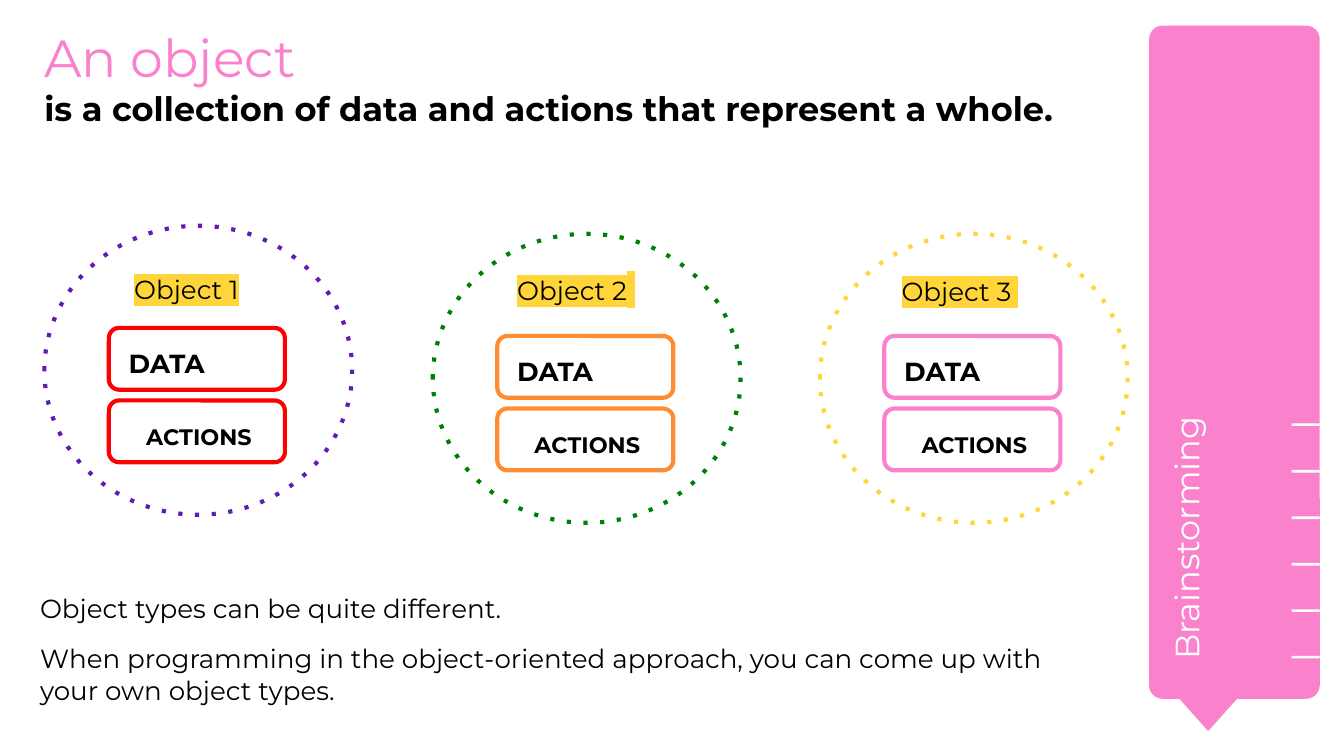
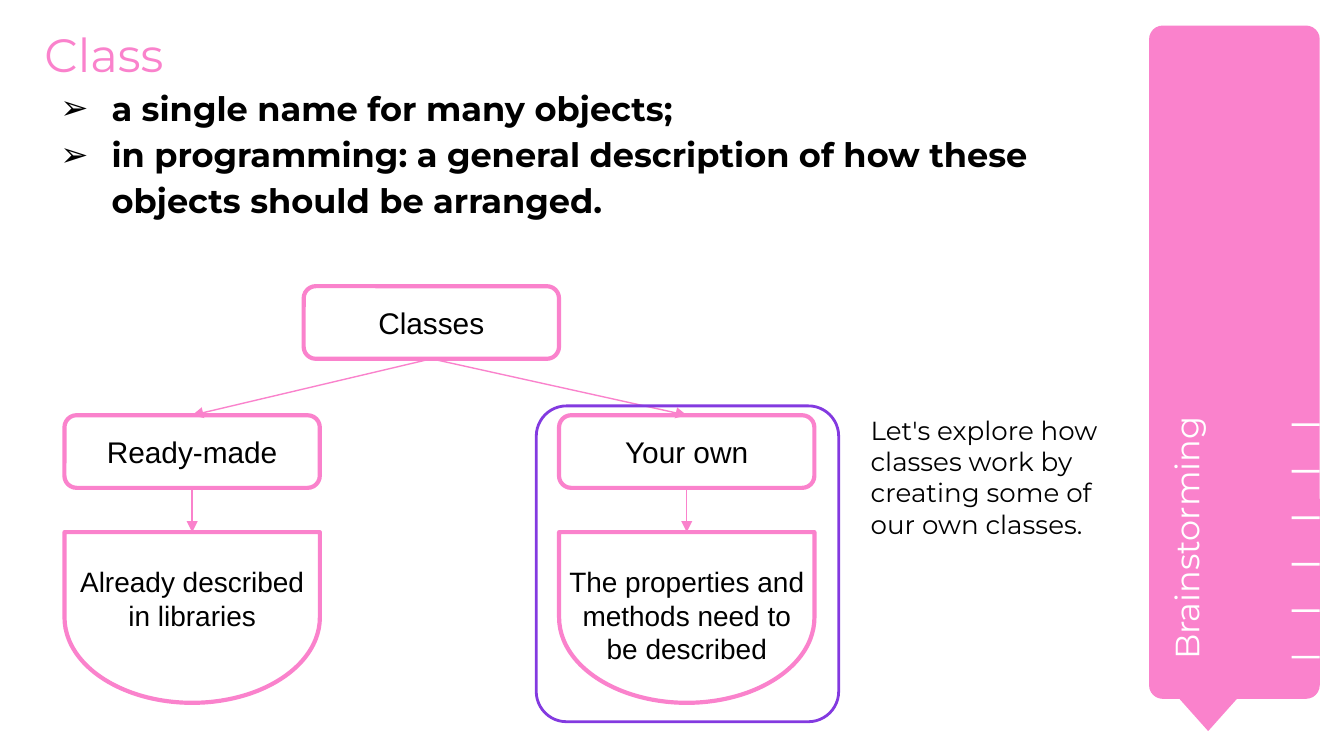
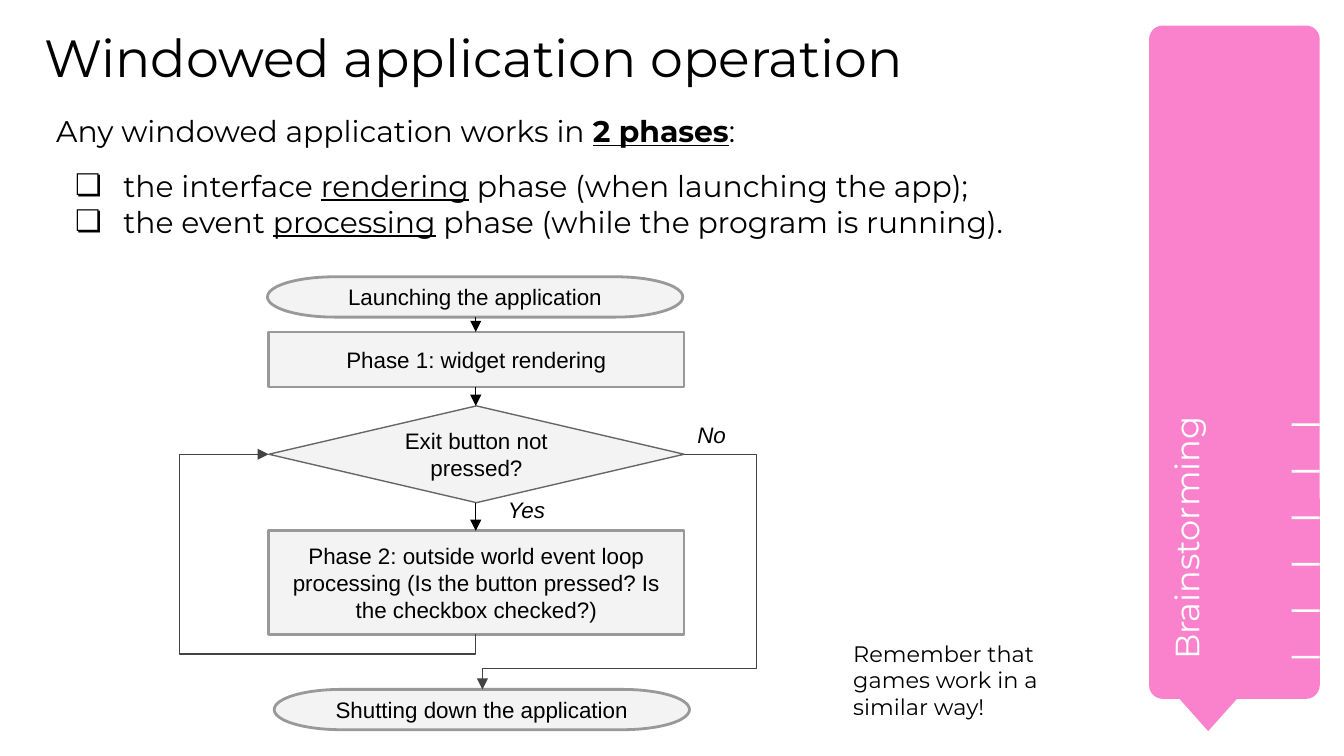
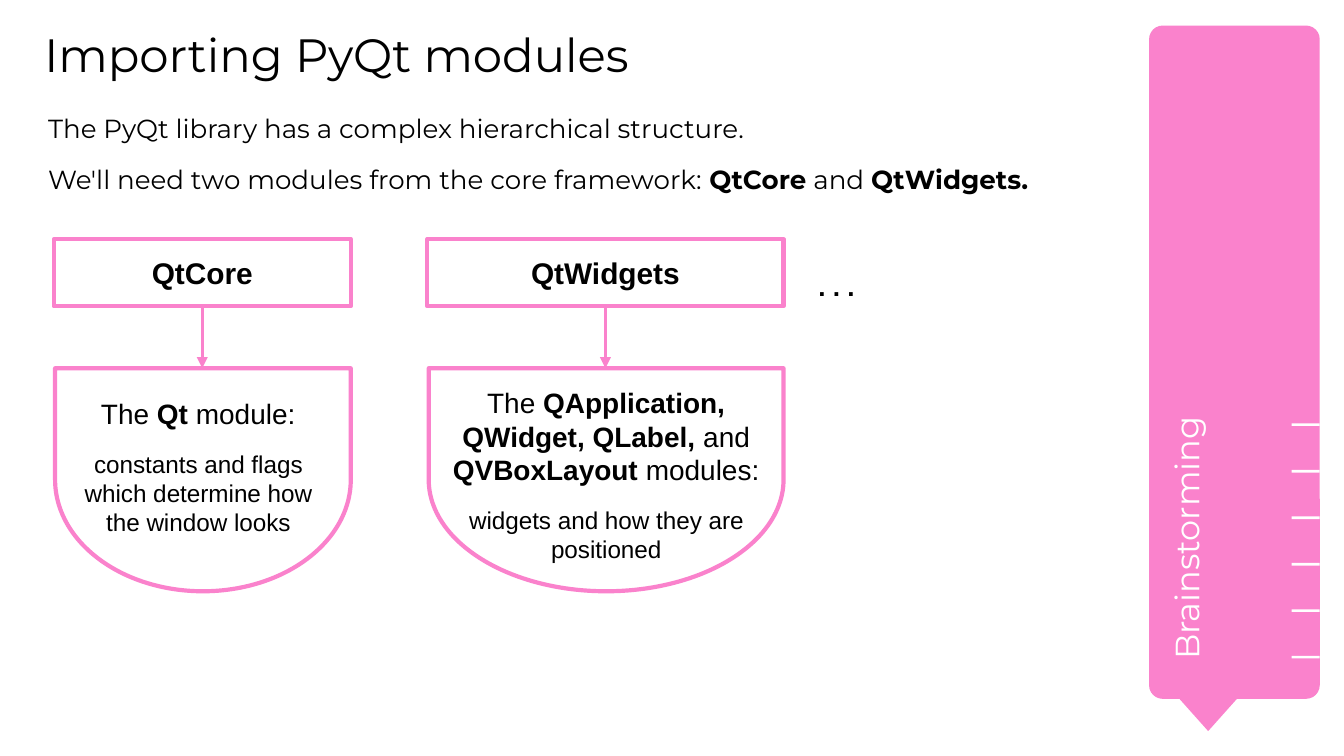
import pptx
import pptx.util
import pptx.dml.color
import pptx.enum.shapes
import pptx.enum.text
import pptx.oxml.ns
from lxml import etree

Inches = pptx.util.Inches
Pt = pptx.util.Pt
qn = pptx.oxml.ns.qn
SHAPE = pptx.enum.shapes.MSO_SHAPE
CONNECTOR = pptx.enum.shapes.MSO_CONNECTOR
ANCHOR = pptx.enum.text.MSO_ANCHOR
ALIGN = pptx.enum.text.PP_ALIGN

COLORS = {
    "pink": "FA82CC", "black": "000000", "white": "FFFFFF", "yellow": "FFD53A",
    "red": "FF0000", "orange": "FF8C31", "green": "008000", "indigo": "5E1CB6",
    "violet": "833AE0", "pale": "F3F3F3", "gray": "999999", "slate": "666666",
    "charcoal": "434343",
}
HEADING, PLAIN = "Montserrat", "Arial"
TITLE_BOX = (0.33, 0.19, 7.91, 0.56)


def rgb(name):
    """Return the named colour."""
    return pptx.dml.color.RGBColor.from_string(COLORS[name])


def inches(*values):
    """Convert numbers to inch lengths."""
    return [Inches(v) for v in values]


def xml(parent, tag, **attrs):
    """Append a drawing element to a parent."""
    return etree.SubElement(parent, qn(tag), attrs)


def prepare(tf, inset=0.1, anchor=ANCHOR.TOP):
    """Set wrapping, insets and anchor of a text frame."""
    tf.word_wrap = True
    tf.auto_size = pptx.enum.text.MSO_AUTO_SIZE.NONE
    tf.vertical_anchor = anchor
    tf.margin_left = tf.margin_right = tf.margin_top = tf.margin_bottom = Inches(inset)


def style_run(r, size, font, color, flags="", highlight=None):
    """Format a run; flags are letters out of b, i and u."""
    f = r.font
    f.size, f.name = Pt(size), font
    f.bold, f.italic, f.underline = "b" in flags, "i" in flags, "u" in flags
    f.color.rgb = rgb(color)
    if highlight:
        mark = etree.Element(qn("a:highlight"))
        xml(mark, "a:srgbClr", val=COLORS[highlight])
        f._element.find(qn("a:solidFill")).addnext(mark)


def add_para(tf, runs, size, font=HEADING, color="black", align=ALIGN.LEFT,
             before=0, after=0, spacing=None, bullet=None, hang=0.36, highlight=None):
    """Write a paragraph from (text, flags[, size]) runs or one string."""
    p = tf.paragraphs[0] if not tf.text else tf.add_paragraph()
    p.alignment = align
    p.space_before, p.space_after = Pt(before), Pt(after)
    if spacing:
        p.line_spacing = spacing
    if bullet:
        pPr = p._p.get_or_add_pPr()
        pPr.set("marL", str(Inches(0.5)))
        pPr.set("indent", str(-Inches(hang)))
        xml(xml(pPr, "a:buClr"), "a:srgbClr", val=COLORS["black"])
        xml(pPr, "a:buSzPts", val=str(size * 100))
        xml(pPr, "a:buFont", typeface=font)
        xml(pPr, "a:buChar", char=bullet)
    for text, flags, *own_size in [(runs, "")] if isinstance(runs, str) else runs:
        r = p.add_run()
        r.text = text
        style_run(r, own_size[0] if own_size else size, font, color, flags, highlight)


def add_text(s, box, runs, size, anchor=ANCHOR.TOP, **style):
    """Add a text box with its first paragraph and return its frame."""
    tf = s.shapes.add_textbox(*inches(*box)).text_frame
    prepare(tf, anchor=anchor)
    add_para(tf, runs, size, **style)
    return tf


def add_shape(s, kind, box, fill=None, line=None, width=2.25, adj=None, dotted=False):
    """Add a flat preset shape."""
    sp = s.shapes.add_shape(kind, *inches(*box))
    sp.shadow.inherit = False
    if adj is not None:
        sp.adjustments[0] = adj
    if fill:
        sp.fill.solid()
        sp.fill.fore_color.rgb = rgb(fill)
    else:
        sp.fill.background()
    if line:
        sp.line.color.rgb = rgb(line)
        sp.line.width = Pt(width)
    else:
        sp.line.fill.background()
    if dotted:
        xml(sp.line._get_or_add_ln(), "a:prstDash", val="dot")
    return sp


def add_node(s, kind, box, runs, size, fill="white", line="pink", width=2.25):
    """Add a shape with a centred label."""
    tf = add_shape(s, kind, box, fill, line, width).text_frame
    prepare(tf, anchor=ANCHOR.MIDDLE)
    add_para(tf, runs, size, font=PLAIN, align=ALIGN.CENTER)


def add_pocket(s, x, y, w, h):
    """Add a box with a round bottom at the place where it shows."""
    sp = add_shape(s, SHAPE.FLOWCHART_DELAY,
                   (x + (w - h) / 2, y + (h - w) / 2, h, w), "white", "pink")
    sp.rotation = 90


def add_arrow(s, start, end, color, width=0.75, kind=CONNECTOR.STRAIGHT):
    """Add a connector with a triangle at its end."""
    c = s.shapes.add_connector(kind, *inches(*start, *end))
    c.line.color.rgb = rgb(color)
    c.line.width = Pt(width)
    xml(c.line._get_or_add_ln(), "a:tailEnd", type="triangle")
    xml(c._element.spPr, "a:effectLst")
    return c


def add_elbow(s, frame, adjustments, turn=0):
    """Add a mirrored four-part elbow arrow in its unturned frame."""
    x, y, w, h = frame
    c = add_arrow(s, (x + w, y), (x, y + h), "charcoal", kind=CONNECTOR.ELBOW)
    spPr = c._element.spPr
    spPr.find(qn("a:xfrm")).set("rot", str(turn * 60000))
    geom = spPr.find(qn("a:prstGeom"))
    geom.set("prst", "bentConnector4")
    guides = geom.find(qn("a:avLst"))
    if guides is None:
        guides = xml(geom, "a:avLst")
    for i, value in enumerate(adjustments, 1):
        xml(guides, "a:gd", name=f"adj{i}", fmla=f"val {round(value * 100000)}")


def add_band(s, x, y):
    """Draw the ruler band with its section name."""
    add_shape(s, SHAPE.ROUNDED_RECTANGLE, (x, y, 1.27, 5.01), "pink", adj=0.08)
    add_shape(s, SHAPE.FLOWCHART_MERGE, (x + 0.11, y + 4.88, 0.66, 0.37), "pink")
    sp = s.shapes.add_textbox(*inches(x - 1.41, y + 2.71, 3.54, 0.67))
    sp.rotation = 270
    prepare(sp.text_frame)
    add_para(sp.text_frame, "Brainstorming", 18, color="white")
    ticks, span = 6, 1.73
    for i in range(ticks):
        add_shape(s, SHAPE.RECTANGLE,
                  (x + 1.06, y + 2.96 + i * span / (ticks - 1), 0.21, 0.02), "white")


def new_slide(prs, title, size, color="black", height=TITLE_BOX[3]):
    """Add a slide with title and band; return it and the title frame."""
    s = prs.slides.add_slide(prs.slide_layouts[5])
    sp = s.shapes.title
    sp.left, sp.top, sp.width, sp.height = inches(*TITLE_BOX[:3], height)
    prepare(sp.text_frame, inset=0)
    add_para(sp.text_frame, title, size, color=color, highlight="white")
    add_band(s, 8.55, 0.19)
    return s, sp.text_frame


def add_object(s, x, y, ring, frame, label, label_at):
    """Draw a dotted ring holding an object's data and actions."""
    add_shape(s, SHAPE.OVAL, (x, y, 2.29, 2.15), line=ring, dotted=True)
    for dy in (0.76, 1.3):
        add_shape(s, SHAPE.ROUNDED_RECTANGLE, (x + 0.48, y + dy, 1.31, 0.46), line=frame)
    dx, dy = label_at
    add_text(s, (x + dx, y + dy, 1.23, 0.46), label, 14, ANCHOR.BOTTOM, highlight="yellow")
    add_text(s, (x + 0.53, y + 0.77, 1.23, 0.46), [("DATA", "b")], 14, spacing=1.15, after=16)
    add_text(s, (x + 0.51, y + 1.34, 1.28, 0.38), [("ACTIONS", "b")], 12,
             align=ALIGN.CENTER, spacing=1.15, after=16)


def add_class_tree(s, x, y):
    """Draw the tree of ready-made and own classes."""
    w, h, column, root_dx, row, pocket = 1.9, 0.54, 3.68, 1.78, 0.96, 1.83
    branches = [("Ready-made", "Already described in libraries"),
                ("Your own", "The properties and methods need to be described")]

    def name_box(left, top, text):
        """Add the box of one class group."""
        add_node(s, SHAPE.ROUNDED_RECTANGLE, (left, top, w, h), text, 16)

    name_box(x + root_dx, y, "Classes")
    for i, (name, note) in enumerate(branches):
        left = x + i * column
        middle = left + w / 2
        name_box(left, y + row, name)
        add_pocket(s, left, y + pocket, w, 1.27)
        add_text(s, (left - 0.06, y + 1.97, 2.02, 0.88), note, 15, font=PLAIN,
                 align=ALIGN.CENTER)
        add_arrow(s, (x + root_dx + w / 2, y + h), (middle, y + row), "pink")
        add_arrow(s, (middle, y + row + h), (middle, y + pocket), "pink")
    add_shape(s, SHAPE.ROUNDED_RECTANGLE, (x + 3.51, y + 0.89, 2.25, 2.35),
              line="violet", width=1.5, adj=0.1)


def add_flowchart(s, x, y):
    """Draw the life cycle of a windowed application."""
    w, middle = 3.09, x + 1.54
    steps = [
        (SHAPE.FLOWCHART_TERMINATOR, -0.01, 0, 0.3, "Launching the application"),
        (SHAPE.RECTANGLE, 0, 0.41, 0.41, "Phase 1: widget rendering"),
        (SHAPE.FLOWCHART_DECISION, 0, 0.96, 0.72, "Exit button not pressed?"),
        (SHAPE.RECTANGLE, 0, 1.89, 0.77, "Phase 2: outside world event loop processing "
         "(Is the button pressed? Is the checkbox checked?)"),
        (SHAPE.FLOWCHART_TERMINATOR, 0.04, 3.07, 0.3, "Shutting down the application"),
    ]
    for kind, dx, dy, h, text in steps:
        line, width = ("slate", 0.75) if kind == SHAPE.FLOWCHART_DECISION else ("gray", 1.5)
        add_node(s, kind, (x + dx, y + dy, w, h), text, 12, "pale", line, width)
    for upper, lower in zip(steps[:3], steps[1:4]):
        add_arrow(s, (middle, y + upper[2] + upper[3]), (middle, y + lower[2]), "black")
    add_elbow(s, (x + 0.1, y + 1.22, 1.34, 1.54), (-0.11, 1.43), turn=90)
    add_elbow(s, (x + 1.59, y + 1.32, 1.5, 1.75), (-0.36, 0.91))
    add_text(s, (x + w, y + 0.97, 0.61, 0.21), [("No", "i")], 12, font=PLAIN)
    add_text(s, (x + 1.68, y + 1.53, 0.53, 0.21), [("Yes", "i")], 12, font=PLAIN)


def add_module(s, x, y, w, name, contents, note, note_box):
    """Draw a module name with an arrow to its contents."""
    add_node(s, SHAPE.RECTANGLE, (x, y, w, 0.5), [(name, "b")], 16)
    add_pocket(s, x + 0.01, y + 0.96, w - 0.01, 1.66)
    dx, dy, note_w = note_box
    tf = add_text(s, (x + dx, y + dy, note_w, 1.28), contents, 15, font=PLAIN,
                  align=ALIGN.CENTER)
    add_para(tf, note, 13, font=PLAIN, align=ALIGN.CENTER, before=10)
    add_arrow(s, (x + w / 2, y + 0.5), (x + w / 2, y + 0.96), "pink", 1.5)


def object_slide(prs):
    """Build the slide that defines an object."""
    s, tf = new_slide(prs, "An object", 28, "pink")
    add_para(tf, [("is a collection of data and actions that represent a whole.", "b")], 18)
    add_object(s, 0.33, 1.68, "indigo", "red", "Object 1", (0.57, 0.23))
    add_object(s, 3.22, 1.74, "green", "orange", [("Object 2", ""), (" ", "", 16)], (0.53, 0.18))
    add_object(s, 6.1, 1.74, "yellow", "pink", "Object 3 ", (0.51, 0.18))
    tf = add_text(s, (0.2, 4.31, 8.04, 0.73), "Object types can be quite different.", 14)
    add_para(tf, "When programming in the object-oriented approach, you can come up with "
             "your own object types.", 14, before=10)


def class_slide(prs):
    """Build the slide that defines a class."""
    s, tf = new_slide(prs, "Class", 25, "pink", height=1.72)
    for text in ("a single name for many objects;",
                 "in programming: a general description of how these objects "
                 "should be arranged."):
        add_para(tf, [(text, "b")], 18, spacing=1.15, bullet="➢", hang=0.38)
    add_class_tree(s, 0.48, 2.13)
    add_text(s, (6.38, 2.98, 2.02, 2.13), "Let's explore how classes work by creating "
             "some of our own classes.", 14)


def application_slide(prs):
    """Build the slide on how a windowed application runs."""
    s, _ = new_slide(prs, "Windowed application operation", 28)
    tf = add_text(s, (0.32, 0.74, 7.94, 1.38),
                  [("Any windowed application works in ", ""), ("2 phases", "bu"), (":", "")], 16)
    phases = [("the interface ", "rendering", " phase (when launching the app);", 10),
              ("the event ", "processing", " phase (while the program is running).", 0)]
    for start, key, rest, gap in phases:
        add_para(tf, [(start, ""), (key, "u"), (rest, "")], 16, before=gap, bullet="❏")
    add_flowchart(s, 2, 2.06)
    add_text(s, (6.25, 4.66, 2.01, 0.77), "Remember that games work in a similar way!", 12)


def modules_slide(prs):
    """Build the slide on importing modules."""
    s, _ = new_slide(prs, "Importing PyQt modules", 25)
    tf = add_text(s, (0.26, 0.74, 8.2, 0.83),
                  "The PyQt library has a complex hierarchical structure.", 14)
    add_para(tf, [("We'll need two modules from the core framework: ", ""), ("QtCore", "b"),
                  (" and ", ""), ("QtWidgets.", "b")], 14, before=10)
    add_module(s, 0.4, 1.78, 2.21, "QtCore",
               [("The ", ""), ("Qt ", "b"), ("module:", "")],
               "constants and flags which determine how the window looks", (0, 1.07, 2.15))
    add_module(s, 3.18, 1.78, 2.65, "QtWidgets",
               [("The ", ""), ("QApplication, QWidget, QLabel, ", "b"), ("and", ""),
                (" QVBoxLayout ", "b"), ("modules:", "")],
               "widgets and how they are positioned", (-0.08, 0.99, 2.82))
    add_text(s, (5.99, 1.91, 1.82, 0.37), [(". . .", "b")], 14, font=PLAIN)


def main():
    """Build and save the presentation."""
    prs = pptx.Presentation()
    prs.slide_width = Inches(10)
    prs.slide_height = prs.slide_width * 9 // 16
    for build in (object_slide, class_slide, application_slide, modules_slide):
        build(prs)
    prs.save("out.pptx")


if __name__ == "__main__":
    main()
